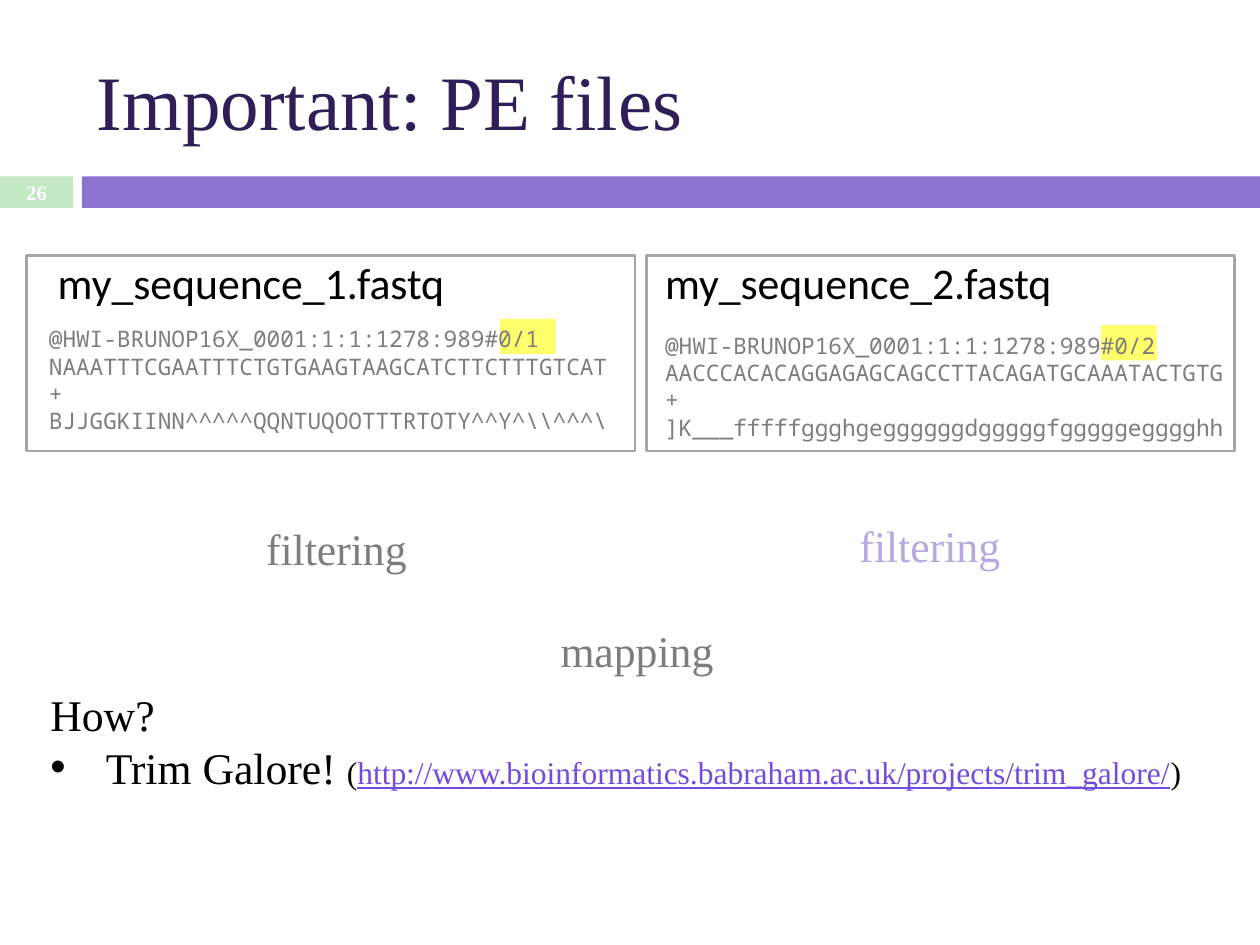
from dataclasses import dataclass

from lxml import etree
from pptx import Presentation
from pptx.dml.color import RGBColor
from pptx.enum.shapes import MSO_SHAPE
from pptx.enum.text import MSO_ANCHOR, PP_ALIGN
from pptx.oxml.ns import qn
from pptx.util import Inches, Pt

RECTANGLE = MSO_SHAPE.RECTANGLE
TOP, MIDDLE = MSO_ANCHOR.TOP, MSO_ANCHOR.MIDDLE
LEFT, CENTER = PP_ALIGN.LEFT, PP_ALIGN.CENTER


@dataclass(frozen=True)
class Theme:
    serif: str = "Times New Roman"
    sans: str = "Calibri"
    mono: str = "Noto Sans Mono"
    title: str = "2F1F58"
    bar: str = "8C73D0"
    number_tab: str = "C2E8C4"
    white: str = "FFFFFF"
    black: str = "000000"
    gray: str = "7D7D7D"
    lilac: str = "B7A9E0"
    link: str = "744AE0"
    frame: str = "A6A6A6"
    marker: str = "FFFF00"
    marker_opacity: int = 58
    title_size: float = 44
    body_size: float = 25
    link_size: float = 18
    code_size: float = 13
    number_size: float = 11.9


THEME = Theme()


@dataclass(frozen=True)
class Area:
    left: float
    top: float
    width: float
    height: float

    def lengths(self) -> tuple:
        return tuple(Inches(v) for v in (self.left, self.top, self.width, self.height))


@dataclass(frozen=True)
class Style:
    size: float
    color: str
    font: str = THEME.serif
    bold: bool = False
    underline: bool = False


@dataclass(frozen=True)
class ReadFile:
    name: str
    record: tuple
    frame: Area
    name_area: Area
    record_area: Area
    marker: Area


BODY = Style(THEME.body_size, THEME.black)
STEP = Style(THEME.body_size, THEME.gray)
FILE_NAME = Style(THEME.body_size, THEME.black, THEME.sans)
CODE = Style(THEME.code_size, THEME.gray, THEME.mono)
SMALL = Style(THEME.link_size, THEME.black)
LINK = Style(THEME.link_size, THEME.link, underline=True)

READ_FILES = (
    ReadFile(
        "my_sequence_1.fastq",
        ("@HWI-BRUNOP16X_0001:1:1:1278:989#0/1",
         "NAAATTTCGAATTTCTGTGAAGTAAGCATCTTCTTTGTCAT",
         "+",
         "BJJGGKIINN^^^^^QQNTUQOOTTTRTOTY^^Y^\\\\^^^\\"),
        Area(0.21, 2.03, 4.83, 1.55), Area(0.36, 1.98, 3.61, 0.52),
        Area(0.29, 2.53, 4.67, 0.98), Area(3.97, 2.53, 0.44, 0.28)),
    ReadFile(
        "my_sequence_2.fastq",
        ("@HWI-BRUNOP16X_0001:1:1:1278:989#0/2",
         "AACCCACACAGGAGAGCAGCCTTACAGATGCAAATACTGTG",
         "+",
         "]K___fffffggghgeggggggdgggggfgggggegggghh"),
        Area(5.13, 2.03, 4.67, 1.55), Area(5.18, 1.98, 3.61, 0.52),
        Area(5.18, 2.58, 4.78, 0.98), Area(8.74, 2.58, 0.44, 0.28)),
)


def format_run(run, style: Style) -> None:
    font = run.font
    font.name, font.size = style.font, Pt(style.size)
    font.bold, font.underline = style.bold, style.underline
    font.color.rgb = RGBColor.from_string(style.color)


def add_text(slide, area: Area, text: str, style: Style, align=LEFT,
             anchor=TOP, margins: tuple = (0.1, 0.05)):
    box = slide.shapes.add_textbox(*area.lengths())
    frame = box.text_frame
    frame.word_wrap = True
    frame.vertical_anchor = anchor
    frame.margin_left = frame.margin_right = Inches(margins[0])
    frame.margin_top = frame.margin_bottom = Inches(margins[1])
    frame.text = text
    for para in frame.paragraphs:
        para.alignment = align
        for run in para.runs:
            format_run(run, style)
    return frame


def add_block(slide, area: Area, color: str):
    block = slide.shapes.add_shape(RECTANGLE, *area.lengths())
    block.shadow.inherit = False
    block.fill.solid()
    block.fill.fore_color.rgb = RGBColor.from_string(color)
    block.line.fill.background()
    return block


def add_marker(slide, area: Area) -> None:
    """Draw a see-through highlight."""
    marker = add_block(slide, area, THEME.marker)
    color = marker.fill._xPr.find(".//" + qn("a:srgbClr"))
    etree.SubElement(color, qn("a:alpha"), val=str(THEME.marker_opacity * 1000))


def add_frame(slide, area: Area) -> None:
    frame = slide.shapes.add_shape(RECTANGLE, *area.lengths())
    frame.shadow.inherit = False
    frame.fill.background()
    frame.line.color.rgb = RGBColor.from_string(THEME.frame)
    frame.line.width = Pt(1.5)


def add_read_file(slide, read_file: ReadFile) -> None:
    add_marker(slide, read_file.marker)
    add_text(slide, read_file.record_area, "\n".join(read_file.record), CODE)
    add_text(slide, read_file.name_area, read_file.name, FILE_NAME)
    add_frame(slide, read_file.frame)


def add_bullet(para, indent: float) -> None:
    properties = para._p.get_or_add_pPr()
    properties.set("marL", str(Inches(indent)))
    properties.set("indent", str(-Inches(indent)))
    etree.SubElement(properties, qn("a:buFont"), typeface="Arial")
    etree.SubElement(properties, qn("a:buChar"), char="•")


def add_header(slide) -> None:
    add_block(slide, Area(0, 1.4, 0.58, 0.25), THEME.number_tab)
    add_block(slide, Area(0.65, 1.4, 9.35, 0.25), THEME.bar)
    add_text(slide, Area(0.67, 0.25, 8.92, 1.08), "Important: PE files",
             Style(THEME.title_size, THEME.title), anchor=MIDDLE)
    add_text(slide, Area(0, 1.39, 0.58, 0.27), "26",
             Style(THEME.number_size, THEME.white, bold=True), CENTER, MIDDLE)


def add_steps(slide) -> None:
    steps = (
        ("filtering", Area(1.37, 4.1, 2.6, 0.5), STEP, MIDDLE),
        ("filtering", Area(6.08, 4.08, 2.6, 0.49),
         Style(THEME.body_size, THEME.lilac), MIDDLE),
        ("mapping", Area(4.17, 4.91, 1.77, 0.5), STEP, TOP),
    )
    for text, area, style, anchor in steps:
        add_text(slide, area, text, style, CENTER, anchor, (0.07, 0.04))


def add_tools(slide) -> None:
    frame = add_text(slide, Area(0.33, 5.42, 9.37, 1.22), "How?", BODY,
                     margins=(0.07, 0.04))
    para = frame.add_paragraph()
    add_bullet(para, 0.44)
    pieces = (
        ("Trim Galore! ", BODY),
        ("(", SMALL),
        ("http://www.bioinformatics.babraham.ac.uk/projects/trim_galore/", LINK),
        (")", SMALL),
    )
    for text, style in pieces:
        run = para.add_run()
        run.text = text
        format_run(run, style)


def main() -> None:
    deck = Presentation()
    deck.slide_width, deck.slide_height = Inches(10), Inches(7.5)
    slide = deck.slides.add_slide(deck.slide_layouts[6])
    add_header(slide)
    for read_file in READ_FILES:
        add_read_file(slide, read_file)
    add_steps(slide)
    add_tools(slide)
    deck.save("out.pptx")


if __name__ == "__main__":
    main()
